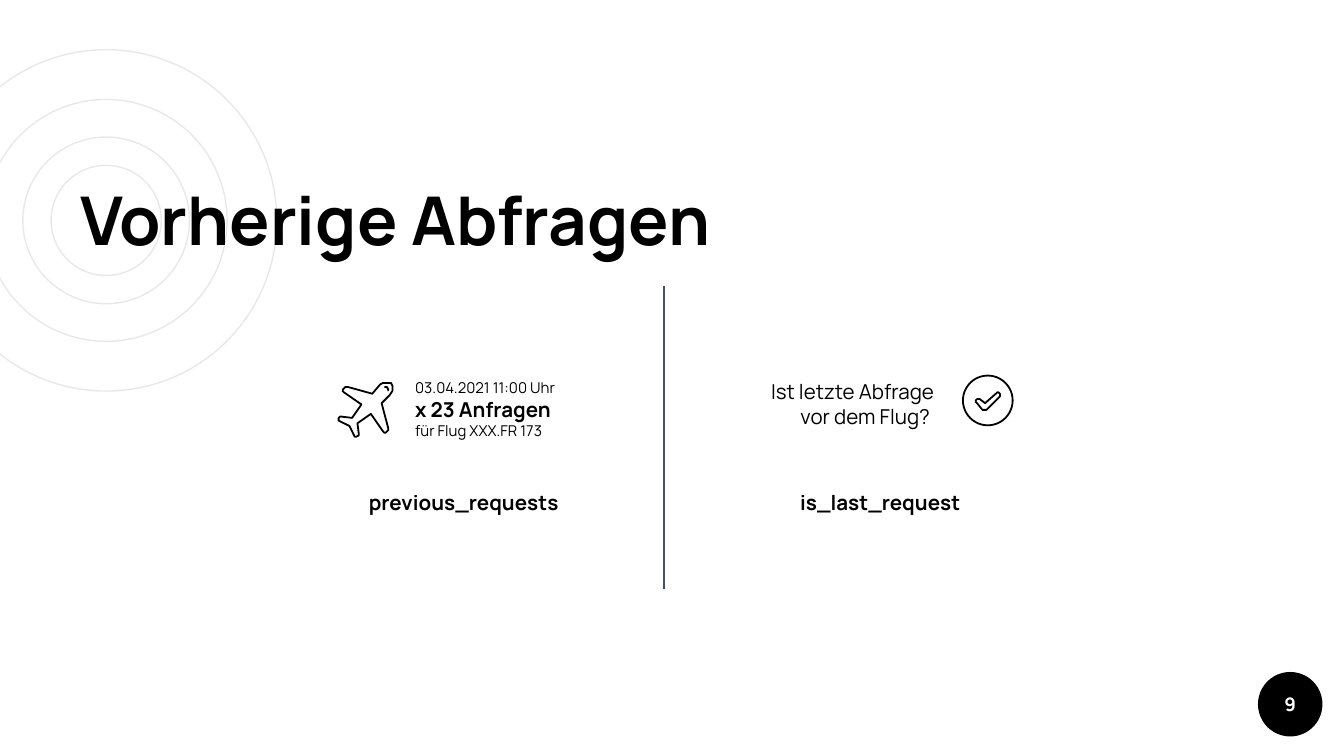
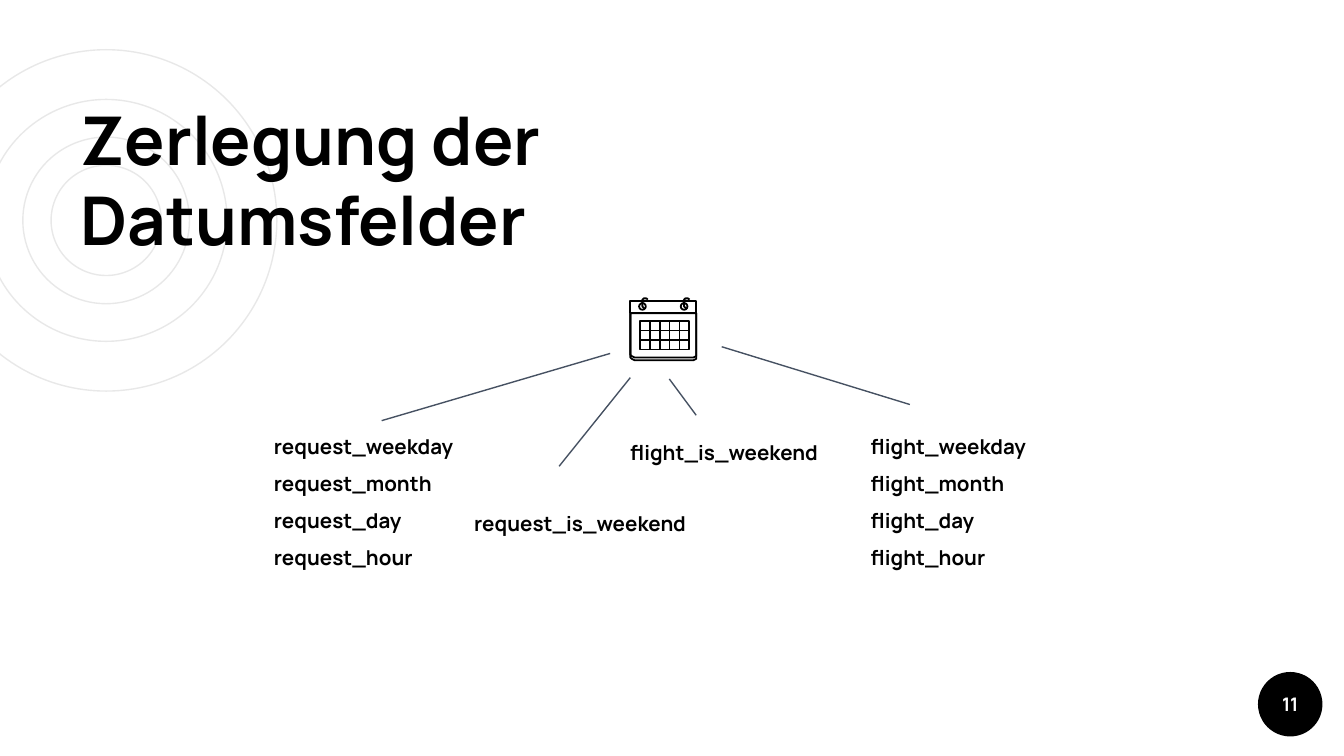
from dataclasses import dataclass

import lxml.etree
import pptx
import pptx.dml.color
import pptx.enum.shapes
import pptx.enum.text
import pptx.oxml.ns
import pptx.util

Inches = pptx.util.Inches
Pt = pptx.util.Pt
RGBColor = pptx.dml.color.RGBColor
PP_ALIGN = pptx.enum.text.PP_ALIGN
MSO_ANCHOR = pptx.enum.text.MSO_ANCHOR
MSO_AUTO_SIZE = pptx.enum.text.MSO_AUTO_SIZE
MSO_SHAPE = pptx.enum.shapes.MSO_SHAPE

BLACK = RGBColor(0x00, 0x00, 0x00)
WHITE = RGBColor(0xFF, 0xFF, 0xFF)
SLATE = RGBColor(0x46, 0x51, 0x62)
RING_GREY = RGBColor(0xE8, 0xE8, 0xE8)
FONT = "Manrope"
SLIDE_WIDTH = Inches(10)
SLIDE_HEIGHT = Inches(10 * 9 / 16)
THIN = 0.75
ICON_LINE = 0.96
Point = tuple[float, float]

PLANE_BODY: list[Point] = [
    (2.89, 3.19), (2.84, 3.0), (2.9, 2.94), (2.92, 2.91), (2.92, 2.87),
    (2.91, 2.85), (2.88, 2.85), (2.85, 2.85), (2.83, 2.86), (2.77, 2.93),
    (2.59, 2.88), (2.57, 2.88), (2.55, 2.9), (2.55, 2.91), (2.56, 2.92),
    (2.69, 3.01), (2.62, 3.11), (2.54, 3.1), (2.53, 3.1), (2.52, 3.11),
    (2.52, 3.13), (2.6, 3.17), (2.64, 3.25), (2.65, 3.25), (2.67, 3.24),
    (2.67, 3.23), (2.66, 3.15), (2.76, 3.08), (2.85, 3.21), (2.86, 3.22),
    (2.87, 3.22), (2.89, 3.2),
]
PLANE_NOSE: list[Point] = [(2.89, 2.91), (2.89, 2.9), (2.88, 2.88), (2.86, 2.88)]
CHECK_MARK: list[Point] = [
    (7.33, 3.05), (7.34, 3.05), (7.44, 2.95), (7.44, 2.93), (7.43, 2.92),
    (7.42, 2.92), (7.41, 2.93), (7.33, 3.0), (7.29, 2.97), (7.28, 2.97),
    (7.27, 2.97), (7.26, 2.98), (7.26, 2.99), (7.27, 3.0), (7.31, 3.05),
]


@dataclass(frozen=True)
class Line:
    text: str
    size: float = 11
    bold: bool = True
    color: RGBColor = BLACK


@dataclass(frozen=True)
class TextBlock:
    x: float
    y: float
    w: float
    h: float
    lines: list[Line]
    align: PP_ALIGN = PP_ALIGN.LEFT
    spacing: float = 1.0


@dataclass(frozen=True)
class Connection:
    start: Point
    end: Point
    color: RGBColor = SLATE
    width: float = THIN


def write(tf, lines: list[Line], align: PP_ALIGN, spacing: float = 1.0) -> None:
    for i, line in enumerate(lines):
        p = tf.paragraphs[0] if i == 0 else tf.add_paragraph()
        p.alignment = align
        p.line_spacing = spacing
        r = p.add_run()
        r.text = line.text
        r.font.name = FONT
        r.font.size = Pt(line.size)
        r.font.bold = line.bold
        r.font.color.rgb = line.color


def add_text(s, block: TextBlock):
    sp = s.shapes.add_textbox(
        Inches(block.x), Inches(block.y), Inches(block.w), Inches(block.h))
    tf = sp.text_frame
    tf.word_wrap = True
    tf.auto_size = MSO_AUTO_SIZE.SHAPE_TO_FIT_TEXT
    write(tf, block.lines, block.align, block.spacing)
    return tf


def outline(sp, color: RGBColor, width: float) -> None:
    sp.shadow.inherit = False
    sp.fill.background()
    sp.line.color.rgb = color
    sp.line.width = Pt(width)


def add_circle(shapes, cx: float, cy: float, d: float,
               color: RGBColor = BLACK, width: float = ICON_LINE) -> None:
    sp = shapes.add_shape(
        MSO_SHAPE.OVAL, Inches(cx - d / 2), Inches(cy - d / 2), Inches(d), Inches(d))
    outline(sp, color, width)


def add_path(shapes, points: list[Point], close: bool = False) -> None:
    (x, y), *rest = [(Inches(px), Inches(py)) for px, py in points]
    builder = shapes.build_freeform(x, y)
    builder.add_line_segments(rest, close=close)
    outline(builder.convert_to_shape(), BLACK, ICON_LINE)


def add_connection(shapes, link: Connection) -> None:
    c = shapes.add_connector(
        pptx.enum.shapes.MSO_CONNECTOR.STRAIGHT,
        *(Inches(v) for v in link.start + link.end))
    c.line.color.rgb = link.color
    c.line.width = Pt(link.width)
    lxml.etree.SubElement(c._element.spPr, pptx.oxml.ns.qn("a:effectLst"))


def add_base(prs, title: str, title_width: float, number: int):
    s = prs.slides.add_slide(prs.slide_layouts[6])
    s.background.fill.solid()
    s.background.fill.fore_color.rgb = WHITE
    rings = s.shapes.add_group_shape()
    for d in (2.54, 1.8, 1.24, 0.82):
        add_circle(rings.shapes, 0.79, 1.64, d, RING_GREY, THIN)

    badge = s.shapes.add_shape(
        MSO_SHAPE.OVAL, Inches(9.36), Inches(5), Inches(0.48), Inches(0.48))
    badge.shadow.inherit = False
    badge.fill.solid()
    badge.fill.fore_color.rgb = BLACK
    badge.line.fill.background()
    tf = badge.text_frame
    tf.margin_left = tf.margin_right = tf.margin_top = tf.margin_bottom = 0
    tf.vertical_anchor = MSO_ANCHOR.MIDDLE
    tf.word_wrap = False
    write(tf, [Line(str(number), 10, color=WHITE)], PP_ALIGN.CENTER)

    tf = add_text(s, TextBlock(0.5, 1.28, title_width, 0.75, [Line(title, 36)]))
    tf.auto_size = MSO_AUTO_SIZE.NONE
    tf.vertical_anchor = MSO_ANCHOR.BOTTOM
    tf.margin_top = tf.margin_bottom = Inches(0.1)
    return s


def add_calendar(s) -> None:
    shapes = s.shapes.add_group_shape().shapes
    left, right, top, fold, bottom = 4.69, 5.18, 2.24, 2.33, 2.66
    add_path(shapes, [(right, fold), (right, top), (left, top), (left, fold)])
    for y in (bottom, bottom + 0.02):
        add_path(shapes, [
            (left, fold), (left, y - 0.02), (left + 0.01, y - 0.01), (left + 0.03, y),
            (right - 0.02, y), (right, y - 0.01), (right, y - 0.02), (right, fold),
        ], close=True)
    for x in (4.78, 5.09):
        add_circle(shapes, x, 2.28, 0.05)
        add_path(shapes, [(x + 0.02, 2.3), (x, 2.28), (x, 2.23), (x + 0.01, 2.22),
                          (x + 0.03, 2.22), (x + 0.04, 2.23)])

    x, y, w, h, cols, rows = 4.76, 2.39, 0.37, 0.21, 5, 3
    add_path(shapes, [(x, y), (x + w, y), (x + w, y + h), (x, y + h)], close=True)
    for i in range(1, cols):
        cx = x + w * i / cols
        add_connection(shapes, Connection((cx, y), (cx, y + h), BLACK, ICON_LINE))
    for i in range(1, rows):
        cy = y + h * i / rows
        add_connection(shapes, Connection((x, cy), (x + w, cy), BLACK, ICON_LINE))


def add_requests_slide(prs) -> None:
    s = add_base(prs, "Vorherige Abfragen", 8.62, 9)
    add_connection(s.shapes, Connection((4.94, 2.13), (4.94, 4.38)))
    plane = s.shapes.add_group_shape()
    add_path(plane.shapes, PLANE_BODY, close=True)
    add_path(plane.shapes, PLANE_NOSE)
    check = s.shapes.add_group_shape()
    add_circle(check.shapes, 7.35, 2.98, 0.37)
    add_path(check.shapes, CHECK_MARK, close=True)
    for block in (
        TextBlock(5.57, 2.77, 1.48, 0.47,
                  [Line("Ist letzte Abfrage vor dem Flug? ", bold=False)], PP_ALIGN.RIGHT),
        TextBlock(2.99, 2.77, 2.22, 0.57, [
            Line("03.04.2021 11:00 Uhr", 8, False),
            Line("x 23 Anfragen"),
            Line("für Flug XXX.FR 173", 8, False),
        ]),
        TextBlock(2.34, 3.6, 2.22, 0.29, [Line("previous_requests")], PP_ALIGN.CENTER),
        TextBlock(5.44, 3.6, 2.22, 0.29, [Line("is_last_request")], PP_ALIGN.CENTER),
    ):
        add_text(s, block)


def add_date_fields_slide(prs) -> None:
    s = add_base(prs, "Zerlegung der Datumsfelder", 5.71, 11)
    add_calendar(s)
    for link in (
        Connection((4.54, 2.63), (2.84, 3.13)),
        Connection((4.69, 2.81), (4.16, 3.47)),
        Connection((4.98, 2.82), (5.18, 3.09)),
        Connection((6.77, 3.01), (5.37, 2.58)),
    ):
        add_connection(s.shapes, link)
    for prefix, list_x, weekend_x, weekend_y in (
        ("request", 1.94, 3.43, 3.66),
        ("flight", 6.38, 4.59, 3.13),
    ):
        fields = [Line(f"{prefix}_{part}") for part in ("weekday", "month", "day", "hour")]
        add_text(s, TextBlock(list_x, 3.09, 2.22, 1.19, fields, spacing=1.5))
        add_text(s, TextBlock(weekend_x, weekend_y, 2.22, 0.35,
                              [Line(f"{prefix}_is_weekend")], spacing=1.5))


def main() -> None:
    prs = pptx.Presentation()
    prs.slide_width = SLIDE_WIDTH
    prs.slide_height = SLIDE_HEIGHT
    add_requests_slide(prs)
    add_date_fields_slide(prs)
    prs.save("out.pptx")


if __name__ == "__main__":
    main()
